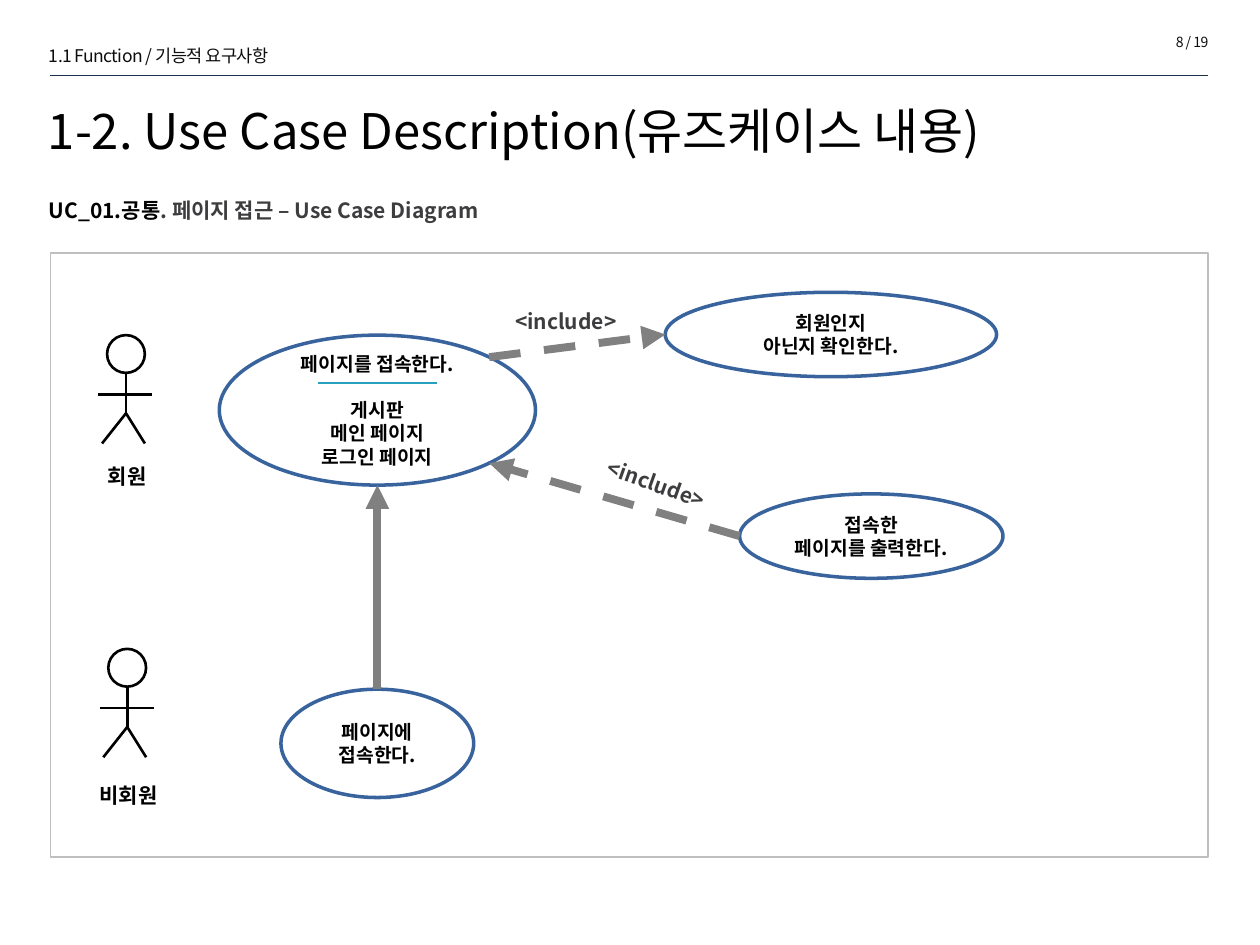
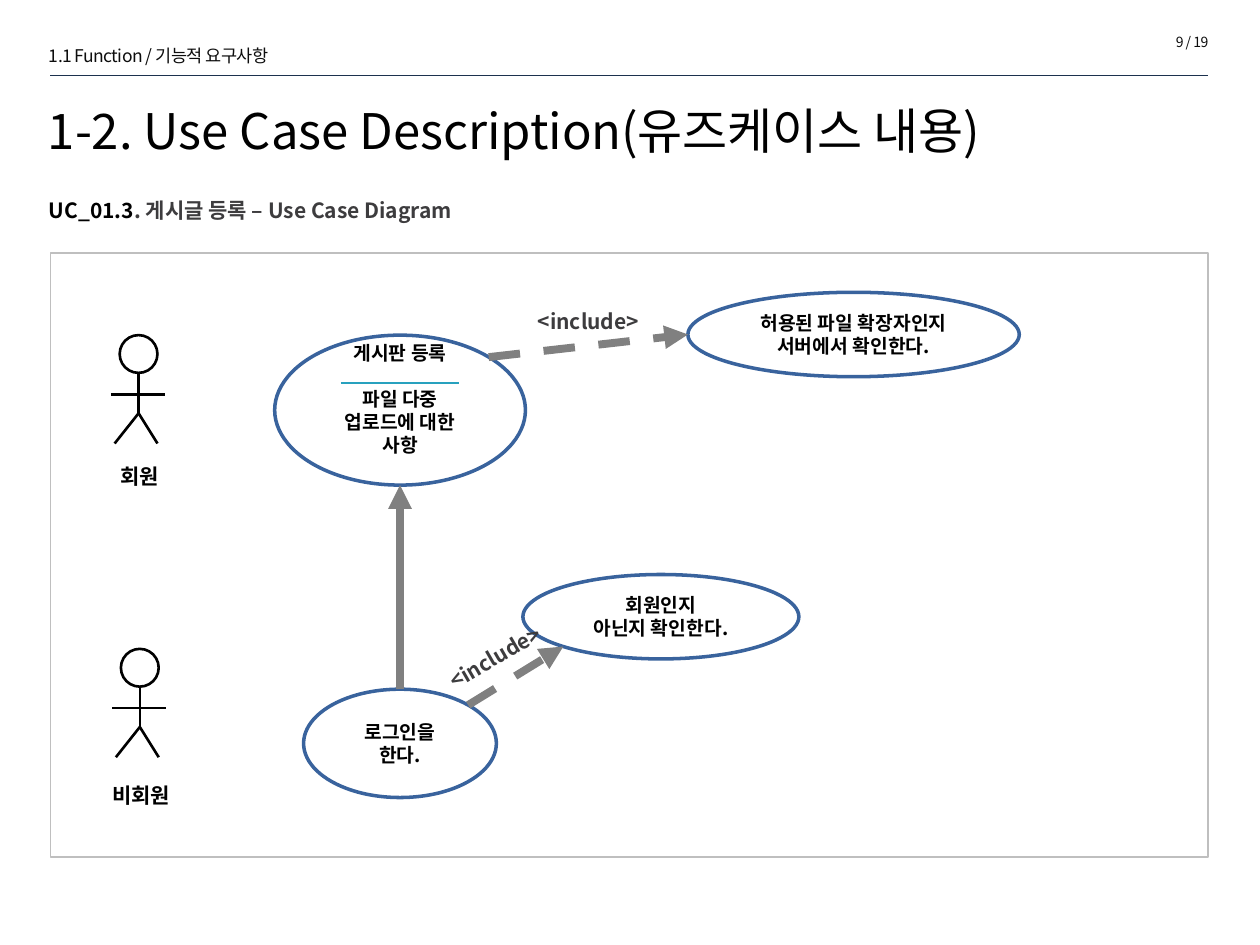
from math import cos, radians, sin

from lxml import etree
from pptx import Presentation
from pptx.dml.color import RGBColor
from pptx.enum.dml import MSO_LINE
from pptx.enum.shapes import MSO_CONNECTOR, MSO_SHAPE
from pptx.enum.text import MSO_ANCHOR, MSO_AUTO_SIZE, PP_ALIGN
from pptx.oxml.ns import qn
from pptx.util import Inches, Pt

STRAIGHT = MSO_CONNECTOR.STRAIGHT
ELLIPSE, RECTANGLE = MSO_SHAPE.OVAL, MSO_SHAPE.RECTANGLE
LEFT, CENTER, RIGHT = PP_ALIGN.LEFT, PP_ALIGN.CENTER, PP_ALIGN.RIGHT
TOP, MIDDLE = MSO_ANCHOR.TOP, MSO_ANCHOR.MIDDLE
DASH = MSO_LINE.DASH
NO_AUTOFIT = MSO_AUTO_SIZE.NONE

FONT = "Noto Sans CJK KR"
COLORS = {
    "black": "000000", "white": "FFFFFF", "header": "0D0D0D", "rule": "1C314E",
    "muted": "3D3C3E", "use_case": "39639D", "arrow": "808080",
    "divider": "28A1BE", "frame": "BFBFBF",
}
PAGE_COUNT = 19
USE_CASE_LINE = 13.2

# Connection sites of an ellipse, counted anticlockwise from the top
SITE_TOP, SITE_LEFT, SITE_BOTTOM_LEFT, SITE_BOTTOM = 0, 2, 3, 4
SITE_BOTTOM_RIGHT, SITE_TOP_RIGHT = 5, 7


def rgb(name):
    return RGBColor.from_string(COLORS[name])


def box(left, top, width, height):
    return [Inches(value) for value in (left, top, width, height)]


def write(text_frame, paragraphs, size=12, color="black", bold=False, align=LEFT,
          anchor=TOP, line_height=None, spacing=0):
    """Each paragraph is a string or a list of (text, colour) runs."""
    text_frame.word_wrap = True
    text_frame.auto_size = NO_AUTOFIT
    text_frame.vertical_anchor = anchor
    for index, content in enumerate(paragraphs):
        paragraph = text_frame.paragraphs[0] if index == 0 else text_frame.add_paragraph()
        paragraph.alignment = align
        paragraph.line_spacing = Pt(line_height or size * 1.25)
        run_colors = [color] * 9
        if isinstance(content, str):
            paragraph.text = content
        else:
            run_colors = [run_color for _, run_color in content]
            for text, _ in content:
                paragraph.add_run().text = text
        for run, run_color in zip(paragraph.runs, run_colors):
            run.font.name = FONT
            run.font.size = Pt(size)
            run.font.bold = bold
            run.font.color.rgb = rgb(run_color)
            properties = run.font._element
            etree.SubElement(properties, qn("a:ea")).set("typeface", FONT)
            if spacing:
                properties.set("spc", str(spacing))


def add_text(slide, place, paragraphs, rotation=0, **text_format):
    shape = slide.shapes.add_textbox(*box(*place))
    shape.rotation = rotation
    write(shape.text_frame, paragraphs, **text_format)


def add_outlined(shapes, kind, place, color, width, fill="white"):
    shape = shapes.add_shape(kind, *box(*place))
    shape.shadow.inherit = False
    if fill:
        shape.fill.solid()
        shape.fill.fore_color.rgb = rgb(fill)
    else:
        shape.fill.background()
    shape.line.color.rgb = rgb(color)
    shape.line.width = Pt(width)
    return shape


def add_line(shapes, start, end, color, width):
    connector = shapes.add_connector(
        STRAIGHT, *[Inches(value) for value in (*start, *end)])
    connector.line.color.rgb = rgb(color)
    connector.line.width = Pt(width)
    etree.SubElement(connector._element.spPr, qn("a:effectLst"))
    return connector


def site_point(shape, site):
    angle = radians(45 * site)
    x = shape.left + shape.width / 2 * (1 - sin(angle))
    y = shape.top + shape.height / 2 * (1 - cos(angle))
    return x / Inches(1), y / Inches(1)


def add_arrow(slide, source, source_site, target, target_site, dashed=True):
    connector = add_line(slide.shapes, site_point(source, source_site),
                         site_point(target, target_site), "arrow", 4.5)
    if dashed:
        connector.line.dash_style = DASH
    line = connector.line._get_or_add_ln()
    etree.SubElement(line, qn("a:tailEnd")).set("type", "triangle")
    # Glue both ends to the ellipses
    joints = connector._element.nvCxnSpPr.cNvCxnSpPr
    for tag, shape, site in (("a:stCxn", source, source_site),
                             ("a:endCxn", target, target_site)):
        joint = etree.SubElement(joints, qn(tag))
        joint.set("id", str(shape.shape_id))
        joint.set("idx", str(site))


def add_actor(slide, center, top, name, label_top):
    shapes = slide.shapes.add_group_shape().shapes
    add_outlined(shapes, ELLIPSE, (center - 0.15, top, 0.3, 0.3), "black", 1.5)
    hip = (center, top + 0.62)
    for start, end in (
        ((center, top + 0.3), hip),
        ((center - 0.22, top + 0.47), (center + 0.21, top + 0.47)),
        ((center - 0.19, top + 0.86), hip),
        ((center + 0.15, top + 0.86), hip),
    ):
        add_line(shapes, start, end, "black", 1.5)
    add_text(slide, (center - 0.39, label_top, 0.8, 0.3), [name], bold=True, align=CENTER)


def add_use_case(slide, place, paragraphs):
    shape = add_outlined(slide.shapes, ELLIPSE, place, "use_case", 2)
    write(shape.text_frame, paragraphs, size=11, bold=True, align=CENTER,
          anchor=MIDDLE, line_height=USE_CASE_LINE)
    return shape


def add_main_use_case(slide, place, paragraphs):
    """A use case whose name is set apart from its details by a divider."""
    shape = add_use_case(slide, place, paragraphs)
    shape.text_frame.paragraphs[1].space_before = Pt(USE_CASE_LINE)
    center = place[0] + place[2] / 2
    add_line(slide.shapes, (center - 0.47, 3.04), (center + 0.47, 3.04), "divider", 0.75)
    return shape


def add_include(slide, left, top, rotation=0):
    add_text(slide, (left, top, 1.08, 0.42), ["<include>"], rotation=rotation,
             color="muted", bold=True)


def add_diagram_slide(presentation, page, code, subject, actor_center):
    """The header, title, frame and two actors that every diagram shares."""
    slide = presentation.slides.add_slide(presentation.slide_layouts[5])
    title = slide.shapes.title
    title.left, title.top, title.width, title.height = box(0.28, 0.77, 9.31, 0.64)
    write(title.text_frame, ["1-2. Use Case Description(유즈케이스 내용)"],
          size=28, anchor=MIDDLE, line_height=25)
    add_line(slide.shapes, (0.4, 0.6), (9.59, 0.6), "rule", 0.25)
    add_text(slide, (7.96, 0.21, 1.73, 0.24), [f"{page} / {PAGE_COUNT}"],
             size=8, color="header", align=RIGHT, spacing=-30)
    add_text(slide, (0.29, 0.3, 2.68, 0.27), ["1.1 Function / 기능적 요구사항"],
             size=10, color="header", spacing=-30)
    add_text(slide, (0.29, 1.51, 9.26, 0.3),
             [[(code, "black"), (f". {subject} – Use Case Diagram", "muted")]], bold=True)
    add_outlined(slide.shapes, RECTANGLE, (0.4, 2.01, 9.19, 4.79), "frame", 1, fill=None)
    add_actor(slide, actor_center, 2.66, "회원", 3.62)
    add_actor(slide, actor_center + 0.01, 5.15, "비회원", 6.15)
    return slide


def build_page_access(presentation):
    slide = add_diagram_slide(presentation, 8, "UC_01.공통", "페이지 접근", 1)
    visit = add_use_case(slide, (2.23, 5.47, 1.53, 0.86), ["페이지에", "접속한다."])
    access = add_main_use_case(slide, (1.74, 2.66, 2.51, 1.19), [
        "페이지를 접속한다.", "게시판", "메인 페이지", "로그인 페이지"])
    check = add_use_case(slide, (5.28, 2.32, 2.63, 0.67), ["회원인지", "아닌지 확인한다."])
    show = add_use_case(slide, (5.87, 3.92, 2.09, 0.67), ["접속한", "페이지를 출력한다."])
    add_arrow(slide, visit, SITE_TOP, access, SITE_BOTTOM, dashed=False)
    add_arrow(slide, access, SITE_TOP_RIGHT, check, SITE_LEFT)
    add_arrow(slide, show, SITE_LEFT, access, SITE_BOTTOM_RIGHT)
    add_include(slide, 3.99, 2.39)
    add_include(slide, 4.69, 3.69, rotation=19.6)


def build_post_registration(presentation):
    slide = add_diagram_slide(presentation, 9, "UC_01.3", "게시글 등록", 1.1)
    login = add_use_case(slide, (2.41, 5.47, 1.53, 0.86), ["로그인을\v한다."])
    register = add_main_use_case(slide, (2.18, 2.66, 1.99, 1.19), [
        "게시판 등록", "파일 다중\v업로드에 대한\v사항"])
    register.text_frame.margin_bottom = Inches(0.23)
    member = add_use_case(slide, (4.15, 4.56, 2.19, 0.67), ["회원인지", "아닌지 확인한다."])
    extension = add_use_case(slide, (5.46, 2.32, 2.63, 0.67),
                             ["허용된 파일 확장자인지\v서버에서 확인한다."])
    add_arrow(slide, login, SITE_TOP, register, SITE_BOTTOM, dashed=False)
    add_arrow(slide, login, SITE_TOP_RIGHT, member, SITE_BOTTOM_LEFT)
    add_arrow(slide, register, SITE_TOP_RIGHT, extension, SITE_LEFT)
    add_include(slide, 3.45, 5.03, rotation=329.9)
    add_include(slide, 4.17, 2.39)


def main():
    presentation = Presentation()
    presentation.slide_width = Inches(10)
    presentation.slide_height = Inches(7.5)
    build_page_access(presentation)
    build_post_registration(presentation)
    presentation.save("out.pptx")


if __name__ == "__main__":
    main()
